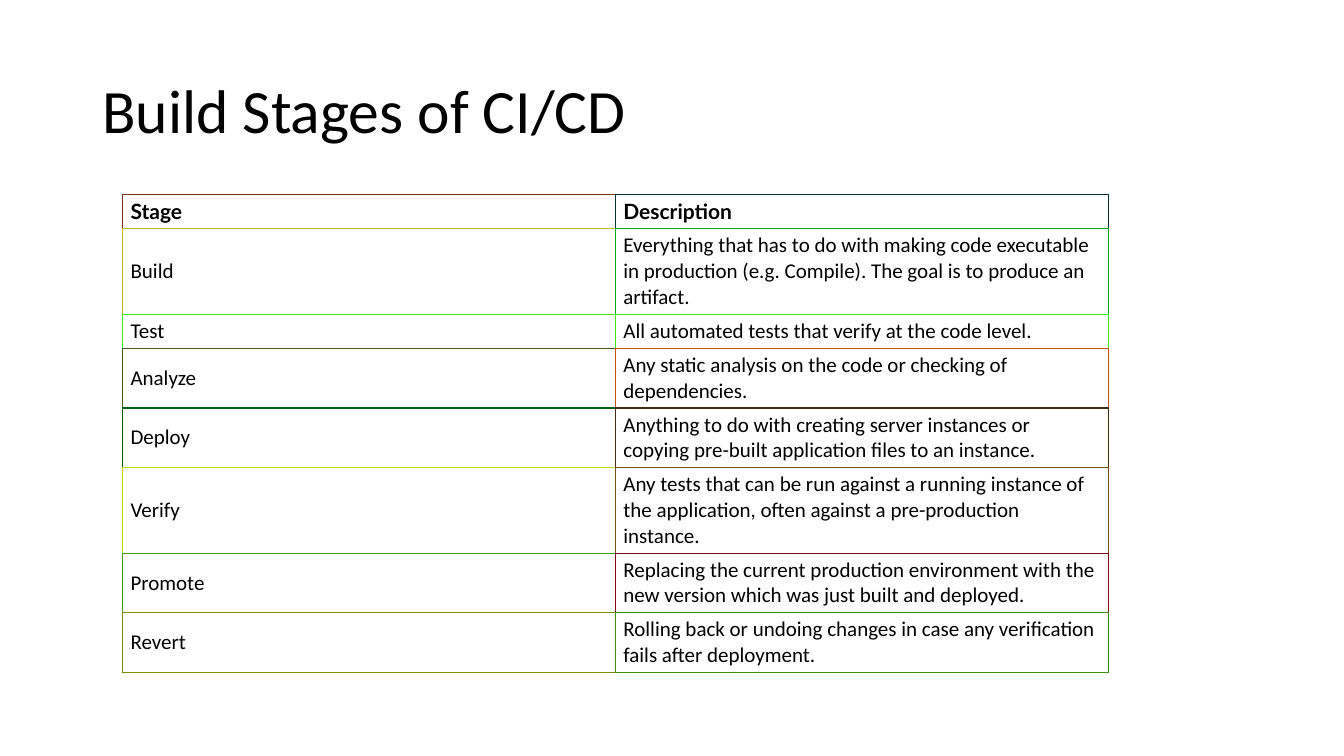
from lxml import etree
from pptx import Presentation
from pptx.dml.color import RGBColor
from pptx.enum.text import MSO_ANCHOR, PP_ALIGN
from pptx.oxml.ns import qn
from pptx.util import Cm, Pt

MIDDLE = MSO_ANCHOR.MIDDLE
LEFT = PP_ALIGN.LEFT
TITLE_ONLY = 5
BLACK = "000000"
BORDER_WIDTH = Pt(1)
COLUMN_WIDTH = 12.42
ROW_HEIGHTS = {1: 0.86, 2: 1.5, 3: 2.16}

STAGES = [
    (1, ("Stage", "803015"), ("Description", "003335")),
    (3, ("Build", "C0BA14"),
     ("Everything that has to do with making code executable in production "
      "(e.g. Compile). The goal is to produce an artifact.", "00AC1E")),
    (1, ("Test", "40E713"),
     ("All automated tests that verify at the code level.", "40E713")),
    (2, ("Analyze", "406110"),
     ("Any static analysis on the code or checking of dependencies.", "C05310")),
    (2, ("Deploy", "005F10"),
     ("Anything to do with creating server instances or copying pre-built "
      "application files to an instance.", "402E11")),
    (3, ("Verify", "C0D913"),
     ("Any tests that can be run against a running instance of the application, "
      "often against a pre-production instance.", "804D11")),
    (2, ("Promote", "409910"),
     ("Replacing the current production environment with the new version which "
      "was just built and deployed.", "800411")),
    (2, ("Revert", "808C0E"),
     ("Rolling back or undoing changes in case any verification fails after "
      "deployment.", "40900E")),
]


def colour(value):
    """Turn a hex string into a colour."""
    return RGBColor.from_string(value)


def format_text(frame, font_name, size, bold=False):
    """Format every run of a text frame."""
    for para in frame.paragraphs:
        for span in para.runs:
            span.font.name = font_name
            span.font.size = Pt(size)
            span.font.bold = bold
            span.font.color.rgb = colour(BLACK)


def add_title(page, text):
    """Place and format the title placeholder."""
    title = page.shapes.title
    title.left, title.top = Cm(2.33), Cm(1.01)
    title.width, title.height = Cm(29.21), Cm(3.68)
    frame = title.text_frame
    frame.text = text
    frame.vertical_anchor = MIDDLE
    frame.paragraphs[0].line_spacing = 0.9
    frame.paragraphs[0].alignment = LEFT
    format_text(frame, "Calibri", 44)


def set_borders(cell, left, right, top, bottom):
    """Draw the four borders of a cell in the given colours."""
    properties = cell._tc.get_or_add_tcPr()
    sides = {"a:lnL": left, "a:lnR": right, "a:lnT": top, "a:lnB": bottom}
    for tag, value in sides.items():
        line = etree.SubElement(properties, qn(tag), w=str(int(BORDER_WIDTH)))
        fill = etree.SubElement(line, qn("a:solidFill"))
        etree.SubElement(fill, qn("a:srgbClr"), val=value)


def fill_cell(cell, text, is_header):
    """Write a cell's text on a clear background."""
    cell.fill.background()
    cell.vertical_anchor = MIDDLE
    cell.margin_left = cell.margin_right = Cm(0.2)
    cell.margin_top = cell.margin_bottom = Cm(0.1)
    cell.text_frame.text = text
    format_text(cell.text_frame, "Lato" if is_header else "Calibri", 15, is_header)


def add_stage_table(page):
    """Add the table of stages, each cell with its own border colour."""
    heights = [ROW_HEIGHTS[lines] for lines, *_ in STAGES]
    table = page.shapes.add_table(
        len(STAGES), 2, Cm(3.09), Cm(4.9), Cm(2 * COLUMN_WIDTH), Cm(sum(heights))
    ).table
    table.first_row = table.horz_banding = False
    for column in table.columns:
        column.width = Cm(COLUMN_WIDTH)
    for index, (_, *entries) in enumerate(STAGES):
        table.rows[index].height = Cm(heights[index])
        following = STAGES[min(index + 1, len(STAGES) - 1)][1:]
        right = entries[-1][1]
        for position, (text, own) in enumerate(entries):
            cell = table.cell(index, position)
            set_borders(cell, own, right, own, following[position][1])
            fill_cell(cell, text, index == 0)


def main():
    """Build and save the deck."""
    deck = Presentation()
    deck.slide_width, deck.slide_height = Cm(33.87), Cm(19.05)
    page = deck.slides.add_slide(deck.slide_layouts[TITLE_ONLY])
    add_title(page, "Build Stages of CI/CD")
    add_stage_table(page)
    deck.save("out.pptx")


if __name__ == "__main__":
    main()
